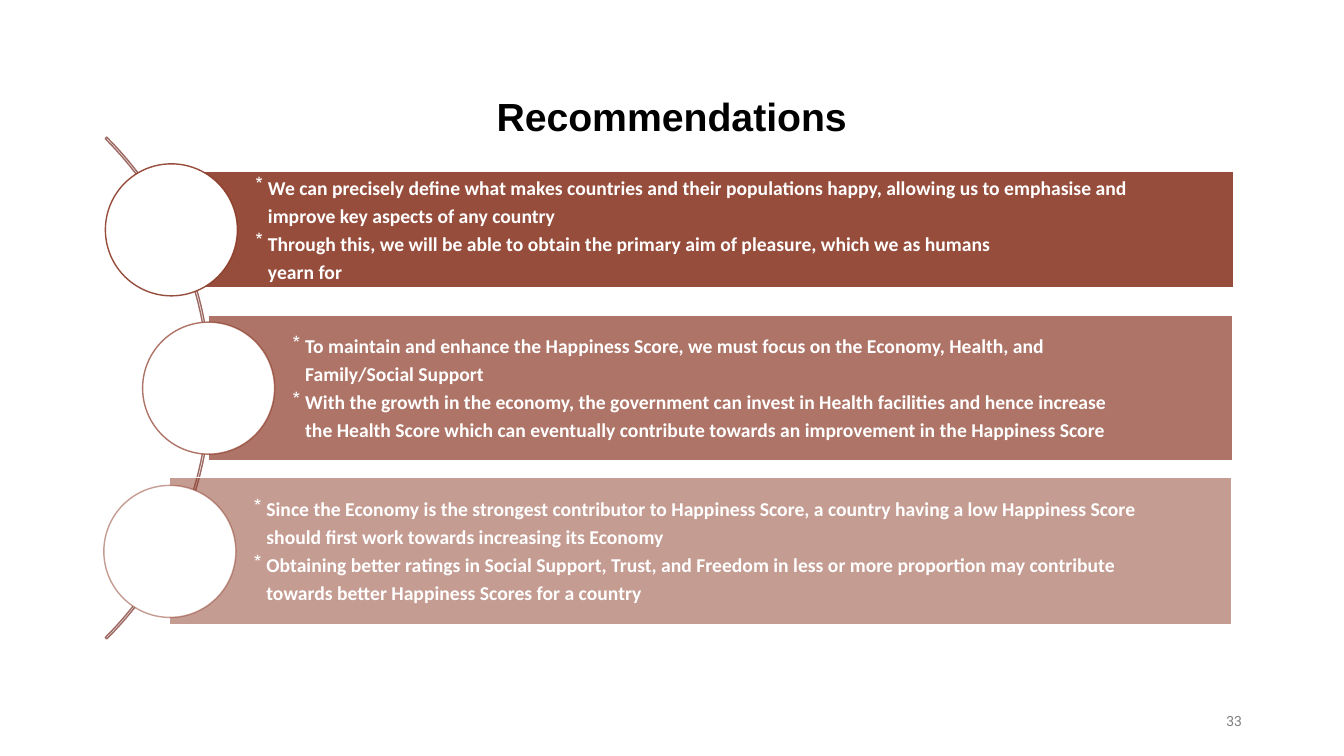
"""Build the Recommendations slide with three curved-list bars."""
from lxml import etree
from pptx import Presentation
from pptx.dml.color import RGBColor
from pptx.enum.shapes import MSO_SHAPE
from pptx.enum.text import MSO_ANCHOR, PP_ALIGN
from pptx.oxml.ns import qn
from pptx.util import Pt

ARC, BAR, CIRCLE = MSO_SHAPE.BLOCK_ARC, MSO_SHAPE.RECTANGLE, MSO_SHAPE.OVAL
MIDDLE, TOP = MSO_ANCHOR.MIDDLE, MSO_ANCHOR.TOP
LEFT, CENTER, RIGHT = PP_ALIGN.LEFT, PP_ALIGN.CENTER, PP_ALIGN.RIGHT

COLORS = {"rust": "8C3A27", "arc": "9D6962", "white": "FFFFFF",
          "black": "000000", "gray": "808080"}
TITLE = "Recommendations"
PAGE_NUMBER = "33"
BARS = [
    {"box": (122.4, 122.4, 758.9, 83.5), "opacity": 90, "points": [
        ("We can precisely define what makes countries and their populations happy, allowing us to emphasise and",
         "improve key aspects of any country"),
        ("Through this, we will be able to obtain the primary aim of pleasure, which we as humans",
         "yearn for")]},
    {"box": (149, 225.4, 731.5, 103.7), "opacity": 70, "points": [
        ("To maintain and enhance the Happiness Score, we must focus on the Economy, Health, and",
         "Family/Social Support"),
        ("With the growth in the economy, the government can invest in Health facilities and hence increase",
         "the Health Score which can eventually contribute towards an improvement in the Happiness Score")]},
    {"box": (121.3, 341.3, 758.9, 105.1), "opacity": 50, "points": [
        ("Since the Economy is the strongest contributor to Happiness Score, a country having a low Happiness Score",
         "should first work towards increasing its Economy"),
        ("Obtaining better ratings in Social Support, Trust, and Freedom in less or more proportion may contribute",
         "towards better Happiness Scores for a country")]},
]
CIRCLE_SIZE = 94.3
HANGING = 9


def color(name):
    return RGBColor.from_string(COLORS[name])


def set_opacity(fill, percent):
    hex_color = fill._xPr.find(".//" + qn("a:srgbClr"))
    etree.SubElement(hex_color, qn("a:alpha"), val=str(percent * 1000))


def add_shape(kind, box, fill, line, fill_opacity=100, line_opacity=100):
    shape = slide.shapes.add_shape(kind, *map(Pt, box))
    shape.shadow.inherit = False
    if fill:
        shape.fill.solid()
        shape.fill.fore_color.rgb = color(fill)
        set_opacity(shape.fill, fill_opacity)
    else:
        shape.fill.background()
    shape.line.color.rgb = color(line)
    shape.line.width = Pt(1)
    set_opacity(shape.line.fill, line_opacity)
    return shape


def style(paragraph, alignment, font_name, size, name, bold):
    paragraph.alignment = alignment
    font = paragraph.font
    font.name, font.size, font.bold = font_name, Pt(size), bold
    font.color.rgb = color(name)


def set_frame(frame, anchor, left, top, right, bottom):
    frame.word_wrap = True
    frame.vertical_anchor = anchor
    frame.margin_left, frame.margin_top = Pt(left), Pt(top)
    frame.margin_right, frame.margin_bottom = Pt(right), Pt(bottom)


def add_points(frame, points):
    set_frame(frame, MIDDLE, 60, 0, 3, 4)
    for index, lines in enumerate(points):
        paragraph = frame.paragraphs[0] if index == 0 else frame.add_paragraph()
        paragraph.text = "\v".join(lines)
        paragraph.line_spacing = Pt(20)
        properties = paragraph._p.get_or_add_pPr()
        properties.set("marL", str(Pt(HANGING)))
        properties.set("indent", str(-Pt(HANGING)))
        etree.SubElement(properties, qn("a:buChar"), char="*")
        style(paragraph, LEFT, "Calibri", 14, "white", True)


presentation = Presentation()
presentation.slide_width, presentation.slide_height = Pt(960), Pt(540)
slide = presentation.slides.add_slide(presentation.slide_layouts[5])

title = slide.shapes.title
title.left, title.top, title.width, title.height = map(Pt, (69, 62.6, 821.5, 41))
title.text_frame.text = TITLE
set_frame(title.text_frame, TOP, 7.2, 3.6, 7.2, 3.6)
style(title.text_frame.paragraphs[0], CENTER, "Arial", 28, "black", True)

arc = add_shape(ARC, (-356.4, 23.8, 506.9, 506.9), None, "arc")
for index, value in enumerate((189, 27, 0.003)):
    arc.adjustments[index] = value

for bar in BARS:
    left, top, width, height = bar["box"]
    rectangle = add_shape(BAR, bar["box"], "rust", "white", fill_opacity=bar["opacity"])
    add_points(rectangle.text_frame, bar["points"])
    circle_box = (left - CIRCLE_SIZE / 2, top + (height - CIRCLE_SIZE) / 2,
                  CIRCLE_SIZE, CIRCLE_SIZE)
    add_shape(CIRCLE, circle_box, "white", "rust", line_opacity=bar["opacity"])

number = slide.shapes.add_textbox(*map(Pt, (678.2, 500.4, 216, 28.8)))
number.text_frame.text = PAGE_NUMBER
set_frame(number.text_frame, MIDDLE, 7.2, 3.6, 7.2, 3.6)
style(number.text_frame.paragraphs[0], RIGHT, "Roboto", 10, "gray", False)

presentation.save("out.pptx")
